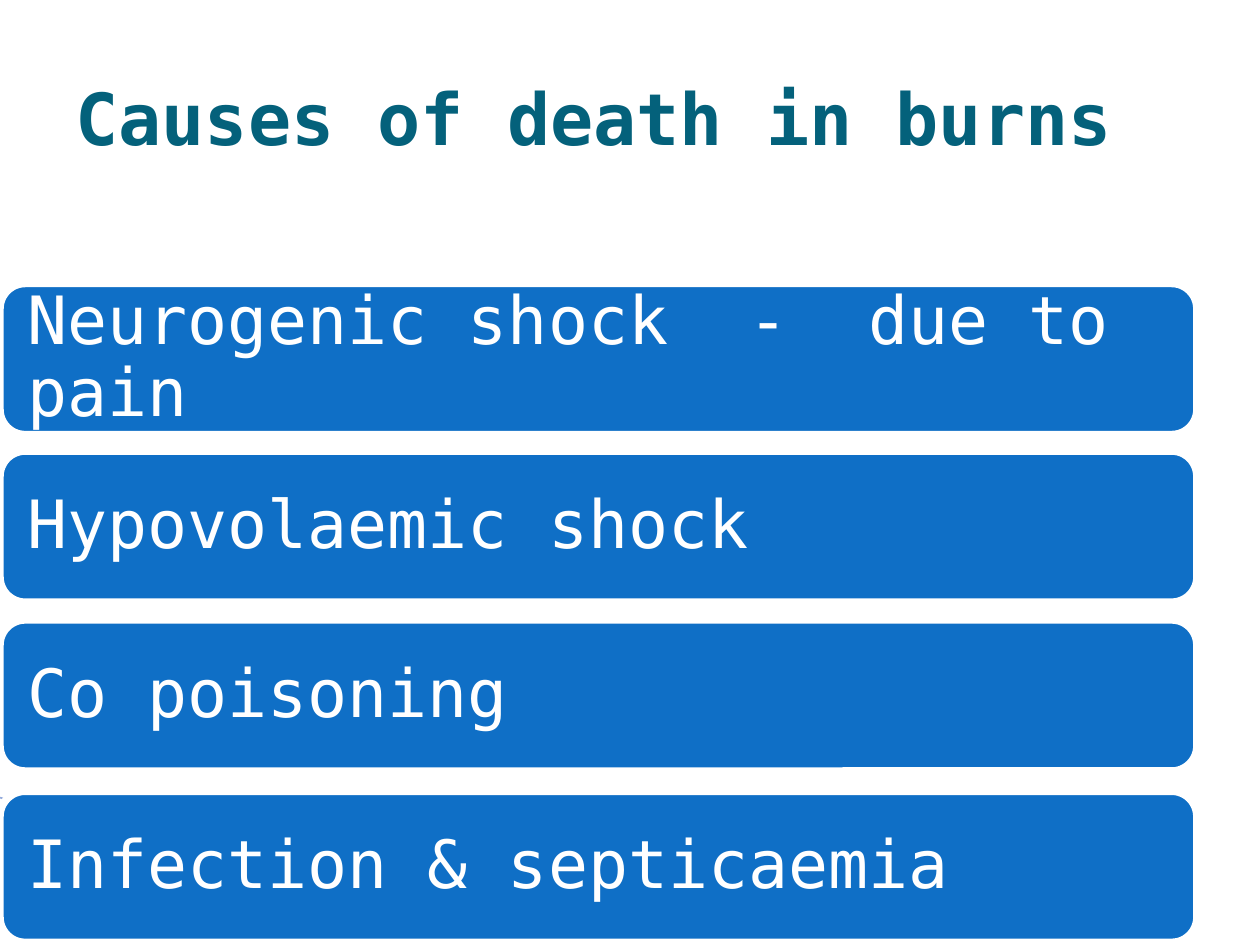
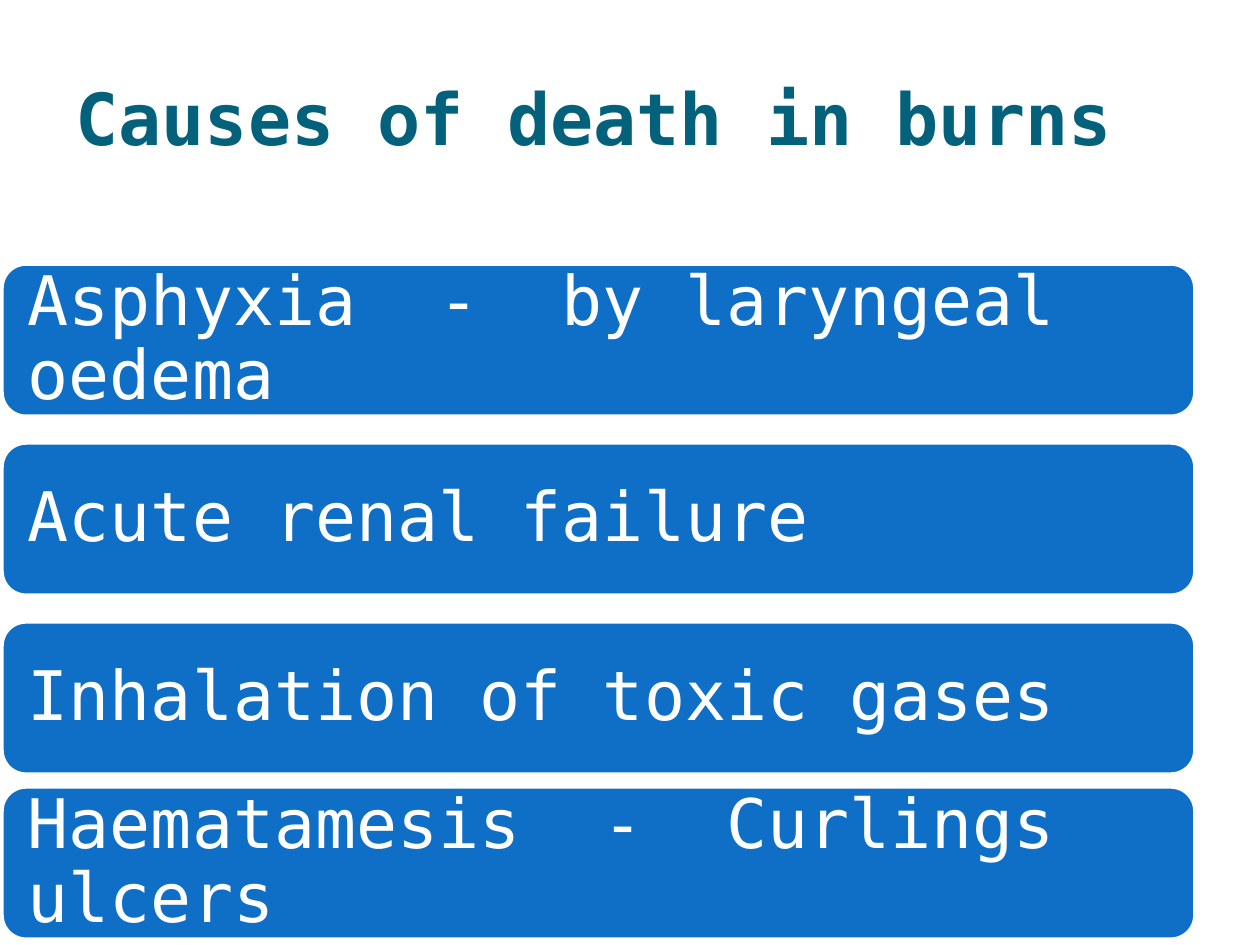
from typing import NamedTuple

from lxml.etree import SubElement
from pptx import Presentation
from pptx.dml.color import RGBColor
from pptx.enum.shapes import MSO_CONNECTOR, MSO_SHAPE
from pptx.enum.text import MSO_ANCHOR, PP_ALIGN
from pptx.oxml.ns import qn
from pptx.util import Pt

EMU_PER_PX = 9144
FONT = "DejaVu Sans Mono"
TITLE = "Causes of death in burns"
TITLE_COLOR = "04617B"
BAR_COLOR = "0F6FC6"
RULE_COLOR = "94ABDC"
WHITE = "FFFFFF"
BAR_WIDTH = 950
BAR_INSET = 16


class Wedge(NamedTuple):
    points: list[tuple[int, int]]
    color: str
    opacity: int


class Cause(NamedTuple):
    top: int
    text: str


class CauseSlide(NamedTuple):
    bar_height: int
    text_size: int
    causes: list[Cause]


WEDGES = [
    Wedge([(55, 651), (595, 750), (456, 750), (55, 650)], "9DB2E1", 40),
    Wedge([(53, 649), (457, 750), (372, 750), (54, 650)], "000000", 100),
]

CAUSE_SLIDES = [
    CauseSlide(120, 38, [
        Cause(225, "Neurogenic shock  -  due to pain"),
        Cause(358, "Hypovolaemic shock"),
        Cause(492, "Co poisoning"),
        Cause(628, "Infection & septicaemia"),
    ]),
    CauseSlide(124, 39, [
        Cause(208, "Asphyxia  -  by laryngeal oedema"),
        Cause(350, "Acute renal failure"),
        Cause(492, "Inhalation of toxic gases"),
        Cause(623, "Haematamesis  -  Curlings ulcers"),
    ]),
]


def px(length: int) -> int:
    return length * EMU_PER_PX


def rgb(color: str) -> RGBColor:
    return RGBColor.from_string(color)


def fill_solid(shape, color: str) -> None:
    shape.shadow.inherit = False
    shape.fill.solid()
    shape.fill.fore_color.rgb = rgb(color)


def write_text(shape, text: str, size: int, color: str, bold: bool = False) -> None:
    text_frame = shape.text_frame
    text_frame.text = text
    text_frame.word_wrap = True
    text_frame.vertical_anchor = MSO_ANCHOR.MIDDLE
    paragraph = text_frame.paragraphs[0]
    paragraph.alignment = PP_ALIGN.LEFT
    font = paragraph.runs[0].font
    font.name = FONT
    font.size = Pt(size)
    font.bold = bold
    font.color.rgb = rgb(color)


def add_wedge(slide, wedge: Wedge) -> None:
    start, *others = wedge.points
    builder = slide.shapes.build_freeform(*start, scale=EMU_PER_PX)
    builder.add_line_segments(others, close=True)
    shape = builder.convert_to_shape()
    fill_solid(shape, wedge.color)
    shape.line.fill.background()
    if wedge.opacity < 100:
        color_element = shape.element.spPr.find(qn("a:solidFill"))[0]
        SubElement(color_element, qn("a:alpha"), val=str(wedge.opacity * 1000))


def add_corner_rule(slide) -> None:
    connector = slide.shapes.add_connector(
        MSO_CONNECTOR.STRAIGHT, px(0), px(633), px(371), px(750)
    )
    connector.line.color.rgb = rgb(RULE_COLOR)
    connector.line.width = Pt(0.95)
    SubElement(connector.element.spPr, qn("a:effectLst"))


def add_cause_bar(slide, cause: Cause, height: int, text_size: int) -> None:
    bar = slide.shapes.add_shape(
        MSO_SHAPE.ROUNDED_RECTANGLE, px(0), px(cause.top), px(BAR_WIDTH), px(height)
    )
    fill_solid(bar, BAR_COLOR)
    bar.line.color.rgb = rgb(WHITE)
    bar.line.width = Pt(4.33)
    write_text(bar, cause.text, text_size, WHITE)
    text_frame = bar.text_frame
    text_frame.margin_left = text_frame.margin_right = px(BAR_INSET)
    text_frame.margin_top = text_frame.margin_bottom = px(BAR_INSET)
    text_frame.paragraphs[0].line_spacing = 0.9


def add_title(slide) -> None:
    title = slide.shapes.add_textbox(px(50), px(30), px(900), px(125))
    write_text(title, TITLE, 41, TITLE_COLOR, bold=True)


def add_cause_slide(presentation, content: CauseSlide) -> None:
    slide = presentation.slides.add_slide(presentation.slide_layouts[6])
    for wedge in WEDGES:
        add_wedge(slide, wedge)
    add_corner_rule(slide)
    for cause in content.causes:
        add_cause_bar(slide, cause, content.bar_height, content.text_size)
    add_title(slide)


def main() -> None:
    presentation = Presentation()
    presentation.slide_width = px(1000)
    presentation.slide_height = px(750)
    for content in CAUSE_SLIDES:
        add_cause_slide(presentation, content)
    presentation.save("out.pptx")


if __name__ == "__main__":
    main()
